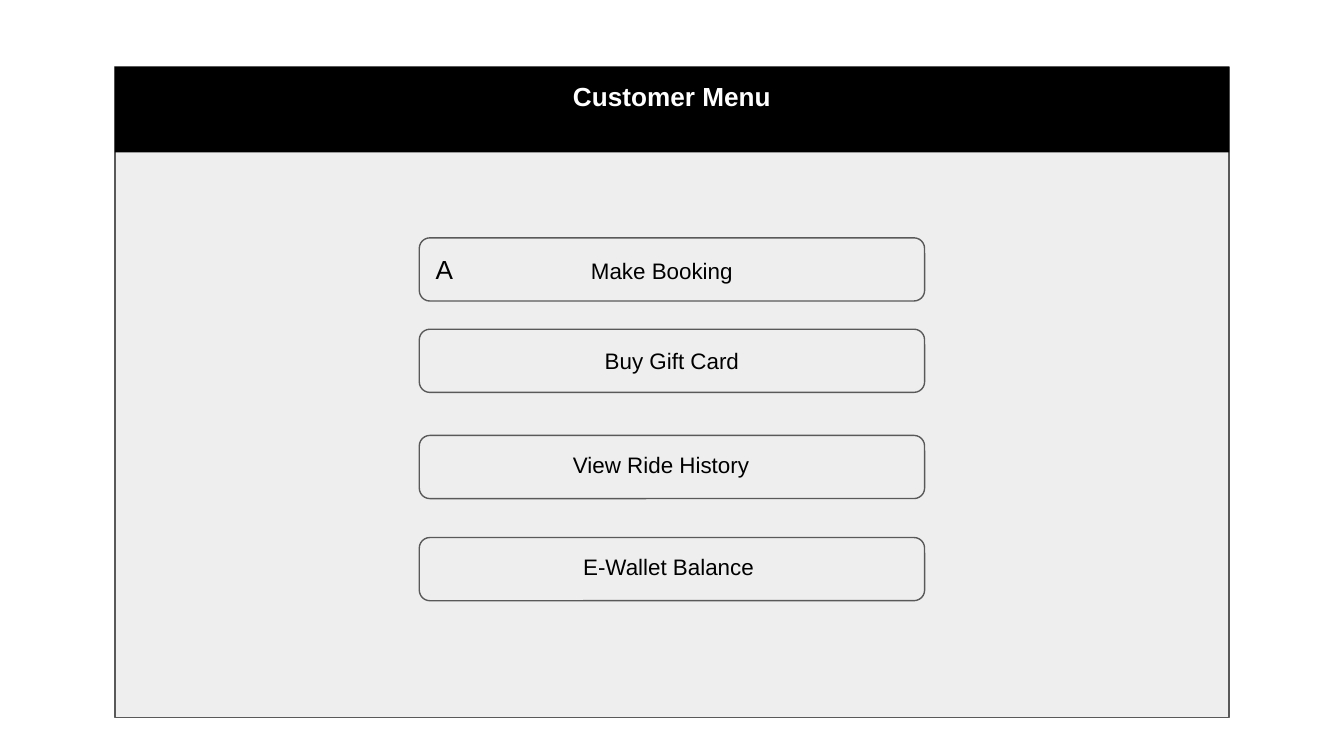
from dataclasses import dataclass

from pptx import Presentation
from pptx.dml.color import RGBColor
from pptx.enum.shapes import MSO_SHAPE
from pptx.enum.text import MSO_ANCHOR, MSO_AUTO_SIZE, PP_ALIGN
from pptx.shapes.autoshape import Shape
from pptx.slide import Slide
from pptx.util import Emu, Pt

PX = 4572


@dataclass(frozen=True)
class Theme:
    font: str = "Arial"
    black: RGBColor = RGBColor(0x00, 0x00, 0x00)
    white: RGBColor = RGBColor(0xFF, 0xFF, 0xFF)
    surface: RGBColor = RGBColor(0xEE, 0xEE, 0xEE)
    outline: RGBColor = RGBColor(0x59, 0x59, 0x59)
    outline_width: float = 0.75
    heading_size: int = 14
    label_size: int = 12


@dataclass(frozen=True)
class Frame:
    left: int
    top: int
    width: int
    height: int

    def emu(self) -> tuple[Emu, Emu, Emu, Emu]:
        return tuple(Emu(v * PX) for v in (self.left, self.top, self.width, self.height))


@dataclass(frozen=True)
class MenuItem:
    text: str
    button_top: int
    label: Frame
    align: PP_ALIGN = PP_ALIGN.LEFT
    anchor: MSO_ANCHOR = MSO_ANCHOR.MIDDLE
    marker: str = ""


THEME = Theme()
PAGE_WIDTH, PAGE_HEIGHT = 2000, 1125
PANEL = Frame(171, 100, 1658, 968)
HEADER = Frame(171, 100, 1658, 127)
BUTTON_LEFT, BUTTON_WIDTH, BUTTON_HEIGHT = 624, 752, 94
INSET = 20

MENU = [
    MenuItem("Make Booking", 354, Frame(725, 376, 520, 52), PP_ALIGN.CENTER, marker="A"),
    MenuItem("Buy Gift Card", 490, Frame(773, 510, 454, 54), PP_ALIGN.CENTER),
    MenuItem("View Ride History", 648, Frame(833, 665, 304, 54)),
    MenuItem("E-Wallet Balance", 800, Frame(848, 803, 304, 54), anchor=MSO_ANCHOR.TOP),
]


def write(shape: Shape, text: str, size: int, color: RGBColor, align: PP_ALIGN,
          anchor: MSO_ANCHOR, bold: bool = False) -> None:
    frame = shape.text_frame
    frame.word_wrap = True
    frame.auto_size = MSO_AUTO_SIZE.NONE
    frame.vertical_anchor = anchor
    frame.margin_left = frame.margin_right = Emu(INSET * PX)
    frame.margin_top = frame.margin_bottom = Emu(INSET * PX)
    para = frame.paragraphs[0]
    para.alignment = align
    span = para.add_run()
    span.text = text
    span.font.name = THEME.font
    span.font.size = Pt(size)
    span.font.bold = bold
    span.font.color.rgb = color


def add_surface(page: Slide, kind: MSO_SHAPE, frame: Frame) -> Shape:
    shape = page.shapes.add_shape(kind, *frame.emu())
    shape.shadow.inherit = False
    shape.fill.solid()
    shape.fill.fore_color.rgb = THEME.surface
    shape.line.color.rgb = THEME.outline
    shape.line.width = Pt(THEME.outline_width)
    return shape


def add_header(page: Slide, text: str) -> None:
    title = page.shapes.title
    title.left, title.top, title.width, title.height = HEADER.emu()
    title.fill.solid()
    title.fill.fore_color.rgb = THEME.black
    write(title, text, THEME.heading_size, THEME.white, PP_ALIGN.CENTER,
          MSO_ANCHOR.TOP, bold=True)


def add_button(page: Slide, item: MenuItem) -> None:
    frame = Frame(BUTTON_LEFT, item.button_top, BUTTON_WIDTH, BUTTON_HEIGHT)
    button = add_surface(page, MSO_SHAPE.ROUNDED_RECTANGLE, frame)
    if item.marker:
        write(button, item.marker, THEME.heading_size, THEME.black,
              PP_ALIGN.LEFT, MSO_ANCHOR.MIDDLE)


def add_label(page: Slide, item: MenuItem) -> None:
    box = page.shapes.add_textbox(*item.label.emu())
    write(box, item.text, THEME.label_size, THEME.black, item.align, item.anchor)


def main() -> None:
    deck = Presentation()
    deck.slide_width, deck.slide_height = Emu(PAGE_WIDTH * PX), Emu(PAGE_HEIGHT * PX)
    page = deck.slides.add_slide(deck.slide_layouts.get_by_name("Title Only"))
    panel = add_surface(page, MSO_SHAPE.RECTANGLE, PANEL)
    page.shapes.title.element.addprevious(panel.element)
    add_header(page, "Customer Menu")
    for item in MENU:
        add_button(page, item)
    for item in MENU:
        add_label(page, item)
    deck.save("out.pptx")


if __name__ == "__main__":
    main()
